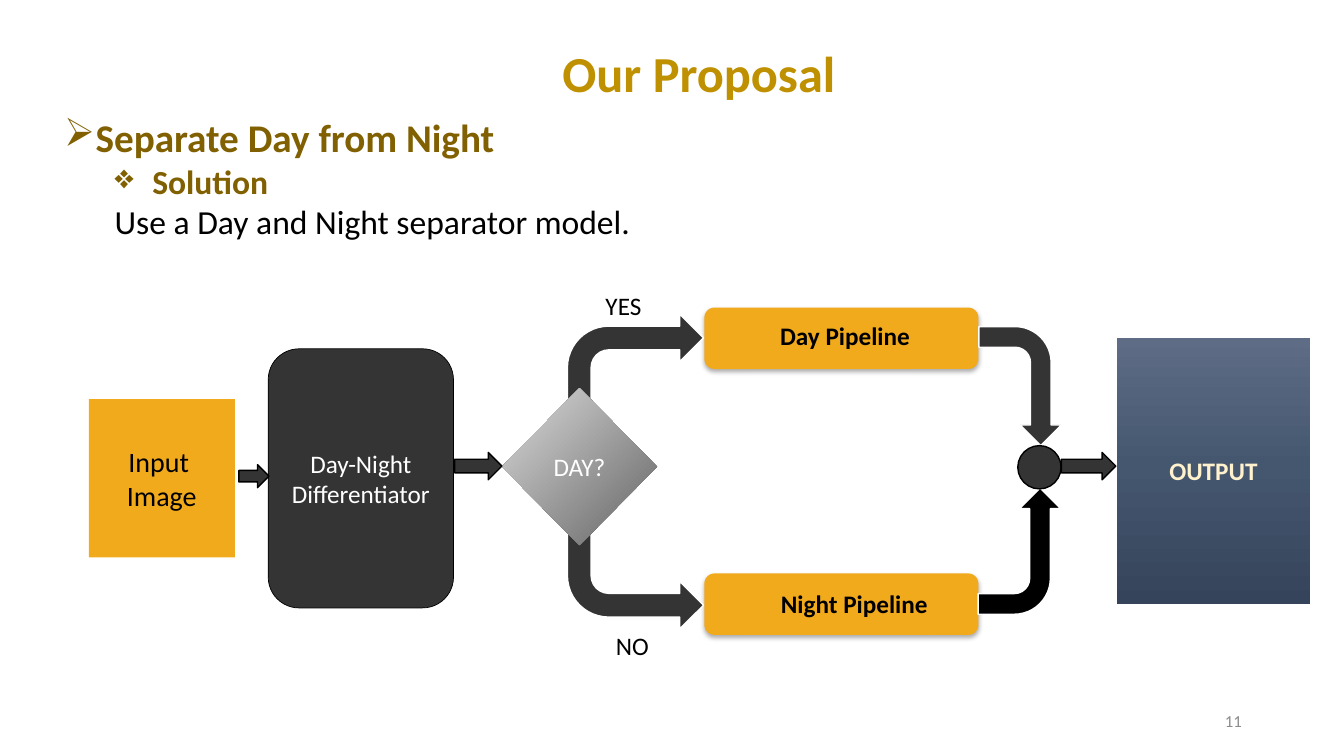
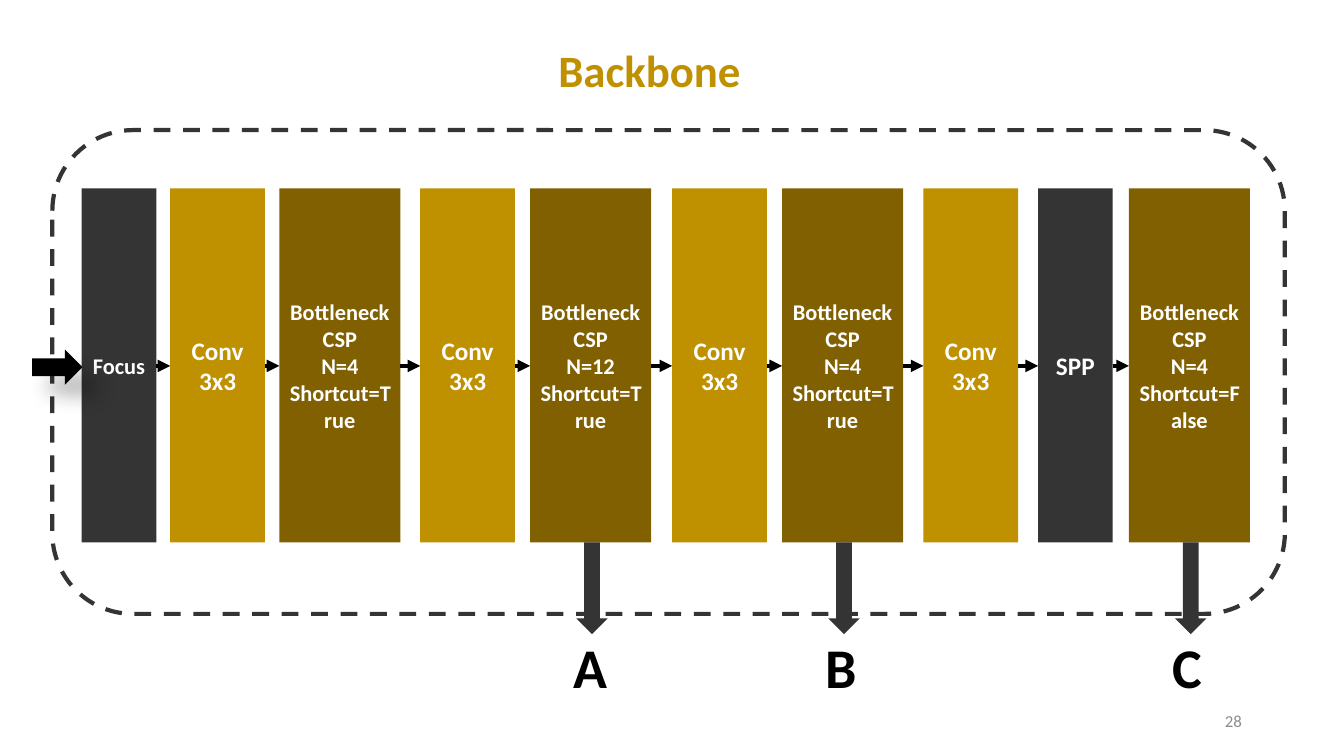
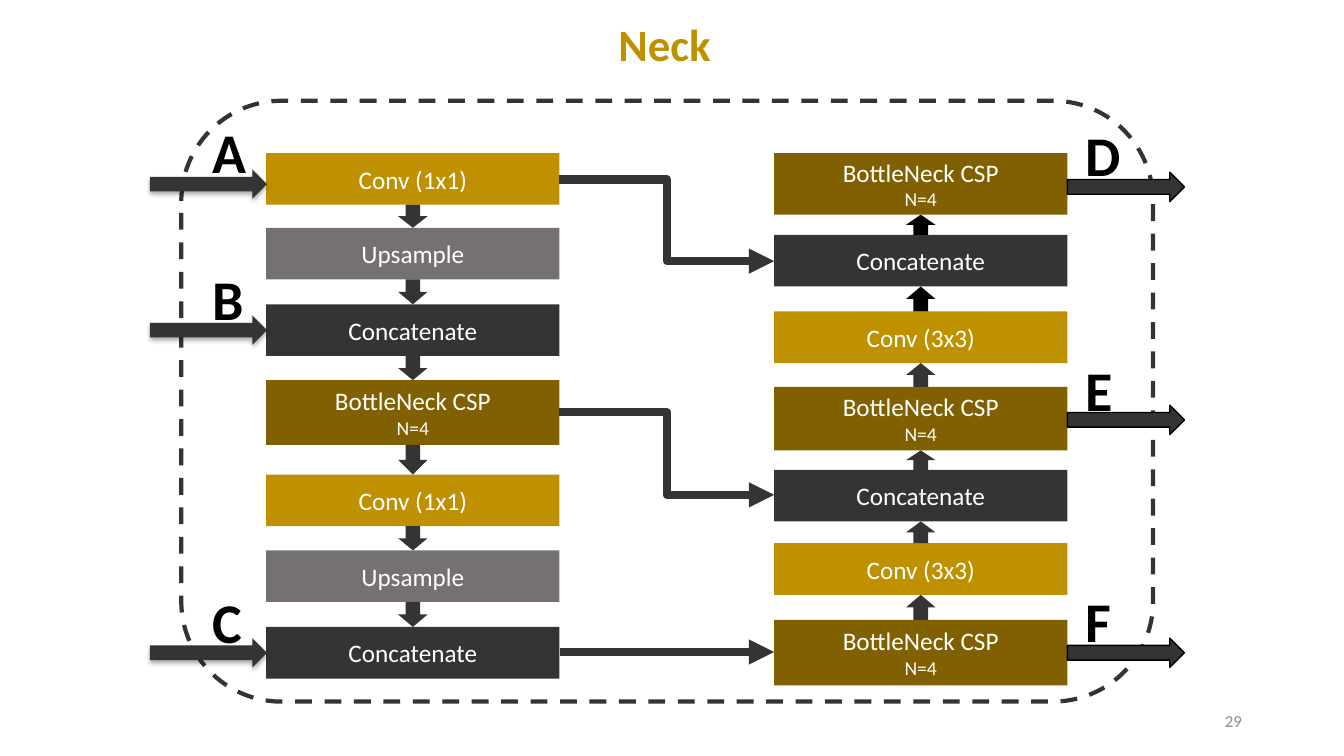
from pptx import Presentation
from pptx.dml.color import RGBColor
from pptx.enum.dml import MSO_LINE
from pptx.enum.shapes import MSO_CONNECTOR, MSO_SHAPE
from pptx.enum.text import MSO_ANCHOR, PP_ALIGN
from pptx.oxml import parse_xml
from pptx.oxml.ns import nsdecls
from pptx.oxml.xmlchemy import OxmlElement
from pptx.util import Cm, Pt

BLACK, WHITE, CHARCOAL, GRAY = "000000", "FFFFFF", "343434", "767171"
GOLD, BROWN, AMBER = "BF9000", "806000", "F2AA1D"
SOFT_SHADOW = (32, 3.5, 2.2, 90)
DEEP_SHADOW = (30, 15, 18, 45)


def color(value):
    return RGBColor.from_string(value)


def child(parent, tag, **attributes):
    element = OxmlElement(tag)
    for name, value in attributes.items():
        element.set(name, str(value))
    parent.append(element)
    return element


def write(frame, text, size=18, fill=BLACK, bold=False, align=PP_ALIGN.LEFT,
          level=0, margin=0, hanging=0, bullet=None):
    paragraph = frame.paragraphs[0]
    if paragraph.runs:
        paragraph = frame.add_paragraph()
    paragraph.alignment = align
    paragraph.level = level
    if margin:
        properties = paragraph._p.get_or_add_pPr()
        properties.set("marL", str(Cm(margin)))
        properties.set("indent", str(-Cm(hanging)))
        if bullet:
            child(properties, "a:buChar", char=bullet)
    span = paragraph.add_run()
    span.text = text
    span.font.name = "Calibri"
    span.font.size = Pt(size)
    span.font.bold = bold
    span.font.color.rgb = color(fill)


class SlideMaker:
    def __init__(self):
        self.deck = Presentation()
        self.deck.slide_width, self.deck.slide_height = Cm(33.87), Cm(19.05)
        self.page = None

    def new_page(self, number):
        self.page = self.deck.slides.add_slide(self.deck.slide_layouts[6])
        self.label(str(number), 23.93, 17.65, 7.62, 1.02, size=12, fill="8C8C8C",
                   align=PP_ALIGN.RIGHT, anchor=MSO_ANCHOR.MIDDLE)

    def title(self, text, left, top, width=23.14, size=32):
        self.label(text, left, top, width, 1.8, size=size, fill=GOLD, bold=True,
                   align=PP_ALIGN.CENTER)

    def label(self, text, left, top, width, height=1.02, anchor=MSO_ANCHOR.TOP, **style):
        box = self.page.shapes.add_textbox(Cm(left), Cm(top), Cm(width), Cm(height))
        box.text_frame.word_wrap = True
        box.text_frame.vertical_anchor = anchor
        if text:
            write(box.text_frame, text, **style)
        return box.text_frame

    def letter(self, text, left, top):
        self.label(text, left, top, 1.32, 1.96, size=40, bold=True)

    def shape(self, kind, left, top, width, height, fill=CHARCOAL, line=None,
              weight=1, shadow=None, rotation=0, flip=False):
        shape = self.page.shapes.add_shape(kind, Cm(left), Cm(top), Cm(width), Cm(height))
        shape.shadow.inherit = False
        shape.rotation = rotation
        if flip:
            shape.element.spPr.get_or_add_xfrm().set("flipV", "1")
        if fill:
            shape.fill.solid()
            shape.fill.fore_color.rgb = color(fill)
        else:
            shape.fill.background()
        if line:
            shape.line.color.rgb = color(line)
            shape.line.width = Pt(weight)
        else:
            shape.line.fill.background()
        if shadow:
            alpha, blur, distance, angle = shadow
            effects = shape.element.spPr.find("{*}effectLst")
            outer = child(effects, "a:outerShdw", blurRad=Pt(blur), dist=Pt(distance),
                          dir=angle * 60000, algn="ctr", rotWithShape=0)
            tint = child(outer, "a:srgbClr", val=BLACK)
            child(tint, "a:alpha", val=alpha * 1000)
        return shape

    def block(self, kind, lines, *place, sizes=(18,), text_fill=WHITE, bold=False, **look):
        shape = self.shape(kind, *place, **look)
        frame = shape.text_frame
        frame.word_wrap = True
        frame.vertical_anchor = MSO_ANCHOR.MIDDLE
        for index, text in enumerate(lines):
            write(frame, text, size=sizes[min(index, len(sizes) - 1)], fill=text_fill,
                  bold=bold, align=PP_ALIGN.CENTER)
        return shape

    def gradient(self, shape, stops, direction):
        marks = "".join(f'<a:gs pos="{place * 1000}"><a:srgbClr val="{value}"/></a:gs>'
                        for place, value in stops)
        shape.fill.gradient()
        properties = shape.element.spPr
        properties.replace(properties.find("{*}gradFill"), parse_xml(
            f'<a:gradFill {nsdecls("a")} rotWithShape="1"><a:gsLst>{marks}</a:gsLst>'
            f'{direction}</a:gradFill>'))

    def frame(self, *place):
        outline = self.shape(MSO_SHAPE.FLOWCHART_ALTERNATE_PROCESS, *place, fill=None,
                             line=CHARCOAL, weight=3)
        outline.line.dash_style = MSO_LINE.DASH

    def connector(self, start, end, fill=BLACK, weight=3):
        kind = MSO_CONNECTOR.STRAIGHT if start[1] == end[1] else MSO_CONNECTOR.ELBOW
        line = self.page.shapes.add_connector(kind, *map(Cm, start + end))
        line.line.color.rgb = color(fill)
        line.line.width = Pt(weight)
        child(line.line._get_or_add_ln(), "a:tailEnd", type="triangle")
        child(line.element.spPr, "a:effectLst")


def proposal(maker):
    maker.new_page(11)
    maker.title("Our Proposal", 10.92, 0.94, 13.39, size=36)
    points = maker.label("", 1.37, 2.74, 31.12, 4.52)
    write(points, "Separate Day from Night", size=28, fill=BROWN, bold=True,
          margin=0.79, hanging=0.79, bullet="➢")
    write(points, "Solution", size=24, fill=BROWN, bold=True, level=1,
          margin=2.22, hanging=0.95, bullet="❖")
    write(points, "Use a Day and Night separator model.", size=24, level=1, margin=1.27)

    maker.block(MSO_SHAPE.RECTANGLE, ["Input ", "Image"], 2.24, 10.06, 3.68, 3.99,
                sizes=(20,), text_fill=BLACK, fill=AMBER)
    maker.block(MSO_SHAPE.ROUNDED_RECTANGLE, ["Day-Night", "Differentiator"],
                6.76, 8.79, 4.67, 6.53, line=BLACK, weight=0.5)
    for name, top, text_left, text_top in (("Day Pipeline", 7.75, 19.41, 7.95),
                                           ("Night Pipeline", 14.45, 19.43, 14.71)):
        maker.shape(MSO_SHAPE.FLOWCHART_ALTERNATE_PROCESS, 17.75, top, 6.91, 1.55,
                    fill=AMBER, shadow=SOFT_SHADOW)
        maker.label(name, text_left, text_top, 4.4, bold=True)
    for left, top, width, height, fill, rotation, flip in (
            (14.3, 7.92, 3.43, 2.39, CHARCOAL, 0, False),
            (14.3, 13.46, 3.43, 2.39, CHARCOAL, 0, True),
            (24.21, 8.69, 3, 2.08, CHARCOAL, 90, False),
            (24.1, 12.85, 3.18, 2.08, BLACK, 270, True)):
        maker.shape(MSO_SHAPE.BENT_ARROW, left, top, width, height, fill=fill,
                    line=WHITE, rotation=rotation, flip=flip)
    maker.shape(MSO_SHAPE.OVAL, 25.65, 11.23, 1.09, 1.09, line=BLACK)
    decision = maker.block(MSO_SHAPE.DIAMOND, ["DAY?"], 12.65, 9.78, 3.91, 3.96)
    maker.gradient(decision, [(0, "DBDBDB"), (100, "636363")],
                   '<a:path path="circle"><a:fillToRect r="100000" b="100000"/></a:path>')
    for place in ((6.02, 11.71, 0.76, 0.58), (11.46, 11.4, 1.19, 0.69),
                  (26.75, 11.4, 1.37, 0.69)):
        maker.shape(MSO_SHAPE.RIGHT_ARROW, *place, line=BLACK)
    output = maker.block(MSO_SHAPE.RECTANGLE, ["OUTPUT"], 28.14, 8.51, 4.88, 6.71,
                         text_fill="FFF2CC", bold=True)
    maker.gradient(output, [(0, "5E6D85"), (48, "45566F"), (100, "35445A")],
                   '<a:lin ang="5400000" scaled="0"/>')
    maker.label("YES", 15.01, 7.19, 2.16)
    maker.label("NO", 15.27, 15.75, 2.16)


def backbone(maker):
    maker.new_page(28)
    maker.title("Backbone", 4.8, 0.94)
    top, height, middle = 4.75, 8.92, 9.22

    def conv(left):
        return left, 2.39, GOLD, 18, ["Conv", "3x3"], None

    def bottleneck(left, count, shortcut, output=None):
        lines = ["Bottleneck", "CSP", f"N={count}", f"Shortcut={shortcut}"]
        return left, 3.05, BROWN, 16, lines, output

    layers = [
        (2.06, 1.88, CHARCOAL, 16, ["Focus"], None),
        conv(4.29), bottleneck(7.04, 4, True),
        conv(10.59), bottleneck(13.36, 12, True, "A"),
        conv(16.94), bottleneck(19.71, 4, True, "B"),
        conv(23.27), (26.16, 1.88, CHARCOAL, 18, ["SPP"], None),
        bottleneck(28.45, 4, False, "C"),
    ]
    for left, width, fill, size, lines, output in layers:
        maker.block(MSO_SHAPE.RECTANGLE, lines, left, top, width, height,
                    sizes=(size,), bold=True, fill=fill)
        if output:
            center = left + width / 2
            maker.shape(MSO_SHAPE.DOWN_ARROW, center - 0.36, top + height, 0.79, 2.31)
            maker.letter(output, center - 0.68, 15.82)
    for (left, width, *_), (following, *_) in zip(layers, layers[1:]):
        maker.connector((left + width, middle), (following, middle))
    maker.frame(1.32, 3.28, 31.06, 12.19)
    maker.shape(MSO_SHAPE.RIGHT_ARROW, 0.81, 8.81, 1.27, 0.89, fill=BLACK,
                shadow=DEEP_SHADOW)


def neck(maker):
    maker.new_page(29)
    maker.frame(4.57, 2.54, 24.49, 15.14)
    maker.title("Neck", 5.18, 0.3)
    width, arrow_width = 7.39, 0.74
    fills = {"Conv (1x1)": GOLD, "Conv (3x3)": GOLD, "Upsample": GRAY,
             "Concatenate": CHARCOAL, "BottleNeck CSP": BROWN}
    left_column, right_column = 6.71, 19.51
    down_stack = [("Conv (1x1)", 3.86, 1.3), ("Upsample", 5.74, 1.3),
                  ("Concatenate", 7.67, 1.3), ("BottleNeck CSP", 9.58, 1.63),
                  ("Conv (1x1)", 11.96, 1.3), ("Upsample", 13.87, 1.3),
                  ("Concatenate", 15.8, 1.3)]
    up_stack = [("BottleNeck CSP", 3.86, 1.55), ("Concatenate", 5.92, 1.3),
                ("Conv (3x3)", 7.85, 1.3), ("BottleNeck CSP", 9.75, 1.6),
                ("Concatenate", 11.84, 1.3), ("Conv (3x3)", 13.69, 1.3),
                ("BottleNeck CSP", 15.62, 1.65)]
    for left, stack, arrow, black_arrows in (
            (left_column, down_stack, MSO_SHAPE.DOWN_ARROW, 0),
            (right_column, up_stack, MSO_SHAPE.UP_ARROW, 2)):
        for name, top, height in stack:
            lines = [name, "N=4"] if name == "BottleNeck CSP" else [name]
            maker.block(MSO_SHAPE.RECTANGLE, lines, left, top, width, height,
                        sizes=(18, 14), fill=fills[name])
        for index, ((_, top, height), (_, following, _)) in enumerate(zip(stack, stack[1:])):
            maker.shape(arrow, left + (width - arrow_width) / 2, top + height,
                        arrow_width, following - top - height,
                        fill=BLACK if index < black_arrows else CHARCOAL)
    for start, end in ((4.52, 6.58), (10.39, 12.47), (16.43, 16.43)):
        maker.connector((left_column + width, start), (right_column, end),
                        fill=CHARCOAL, weight=6)
    for text, top, arrow_top in (("A", 2.84, 4.27), ("B", 6.53, 7.95), ("C", 14.68, 16.08)):
        maker.letter(text, 5.11, top)
        maker.shape(MSO_SHAPE.RIGHT_ARROW, 3.78, arrow_top, 2.95, arrow_width,
                    shadow=SOFT_SHADOW)
    for text, top, arrow_top in (("D", 2.9, 4.34), ("E", 8.84, 10.21), ("F", 14.66, 16.08)):
        maker.letter(text, 27.1, top)
        maker.shape(MSO_SHAPE.RIGHT_ARROW, 26.9, arrow_top, 2.95, arrow_width, line=BLACK)


def main():
    maker = SlideMaker()
    proposal(maker)
    backbone(maker)
    neck(maker)
    maker.deck.save("out.pptx")


if __name__ == "__main__":
    main()
